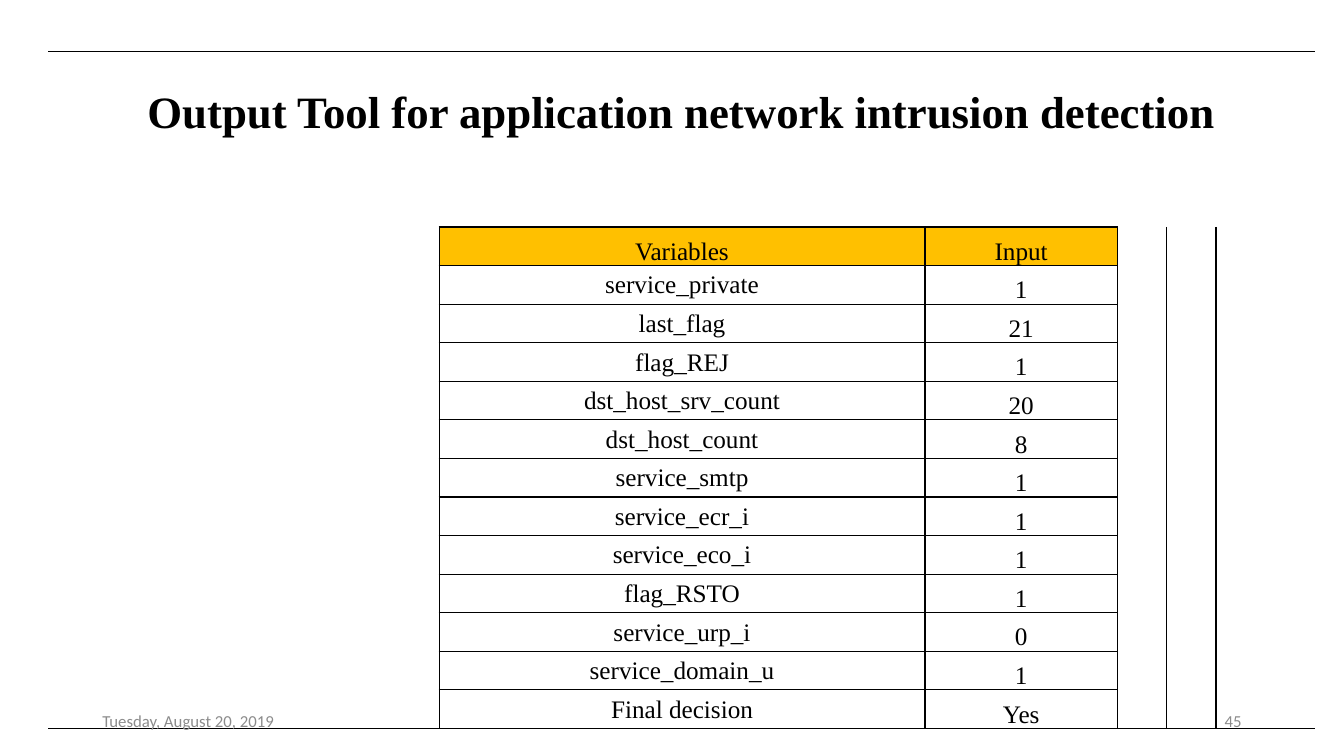
import pptx
import pptx.util
import pptx.dml.color
import pptx.enum.text
import pptx.oxml
import pptx.oxml.ns

Pt = pptx.util.Pt
RGB = pptx.dml.color.RGBColor.from_string
Align = pptx.enum.text.PP_ALIGN
Anchor = pptx.enum.text.MSO_ANCHOR
COLORS = {"ink": "000000", "head": "FFC000", "muted": "8C8C8C"}
PLAIN = "{2D5ABB26-0587-4C30-8999-92F81FD0307C}"


def write(frame, text, size=18, font="Times New Roman", color="ink",
          bold=False, align=Align.CENTER):
    para = frame.paragraphs[0]
    para.alignment = align
    run = para.add_run()
    run.text = text
    run.font.size = Pt(size)
    run.font.name = font
    run.font.bold = bold
    run.font.color.rgb = RGB(COLORS[color])


def border(cell, sides):
    props = cell._tc.get_or_add_tcPr()
    for side in "LRTB":
        if side in sides:
            props.append(pptx.oxml.parse_xml(
                f'<a:ln{side} {pptx.oxml.ns.nsdecls("a")} w="{Pt(1)}"><a:solidFill>'
                f'<a:srgbClr val="{COLORS["ink"]}"/></a:solidFill></a:ln{side}>'))


deck = pptx.Presentation()
deck.slide_width, deck.slide_height = Pt(960), Pt(540)
slide = deck.slides.add_slide(deck.slide_layouts[6])

# Table grid: a title row, a gap row, then the variables
pairs = [("Variables", "Input"), ("service_private", "1"), ("last_flag", "21"),
         ("flag_REJ", "1"), ("dst_host_srv_count", "20"), ("dst_host_count", "8"),
         ("service_smtp", "1"), ("service_ecr_i", "1"), ("service_eco_i", "1"),
         ("flag_RSTO", "1"), ("service_urp_i", "0"), ("service_domain_u", "1"),
         ("Final decision", "Yes")]
widths = [173.5] + [35.25] * 3 + [347, 137.5] + [35.25] * 4
heights = [98] + [27.56] * (len(pairs) + 1)
table = slide.shapes.add_table(len(heights), len(widths), Pt(34.5), Pt(36.6),
                               Pt(sum(widths)), Pt(sum(heights))).table
table.first_row = table.horz_banding = False
table._tbl.tblPr.find(pptx.oxml.ns.qn("a:tableStyleId")).text = PLAIN
for col, width in zip(table.columns, widths):
    col.width = Pt(width)
for row, height in zip(table.rows, heights):
    row.height = Pt(height)

# Borders, margins and fills
last = len(heights) - 1
edges = {3: "R", 4: "LRTB", 5: "LRTB", 6: "LR", 7: "L"}
for r in range(len(heights)):
    for c in range(len(widths)):
        cell = table.cell(r, c)
        sides = edges.get(c, "") if r > 1 else ""
        if r == 0:
            sides += "T"
        if r == last or (r == 1 and c in (4, 5)):
            sides += "B"
        border(cell, sides)
        cell.margin_left = cell.margin_right = cell.margin_top = Pt(0.7)
        cell.margin_bottom = Pt(0)
        if r == 2 and c in (4, 5):
            cell.fill.solid()
            cell.fill.fore_color.rgb = RGB(COLORS["head"])
        else:
            cell.fill.background()

# Title
title = table.cell(0, 0)
title.merge(table.cell(0, len(widths) - 1))
title.vertical_anchor = Anchor.BOTTOM
title.margin_bottom = Pt(36)
write(title.text_frame, "Output Tool for application network intrusion detection",
      size=32, bold=True)

# Variables and their input
for r, pair in enumerate(pairs, 2):
    for c, text in enumerate(pair, 4):
        cell = table.cell(r, c)
        cell.vertical_anchor = Anchor.MIDDLE if c == 4 and r > 2 else Anchor.BOTTOM
        write(cell.text_frame, text)

# Date and slide number
for left, text, align in [(66, "Tuesday, August 20, 2019", Align.LEFT),
                          (678, "45", Align.RIGHT)]:
    frame = slide.shapes.add_textbox(Pt(left), Pt(500.5), Pt(216), Pt(28.75)).text_frame
    frame.word_wrap = True
    frame.vertical_anchor = Anchor.MIDDLE
    write(frame, text, size=12, font="Calibri", color="muted", align=align)

deck.save("out.pptx")
